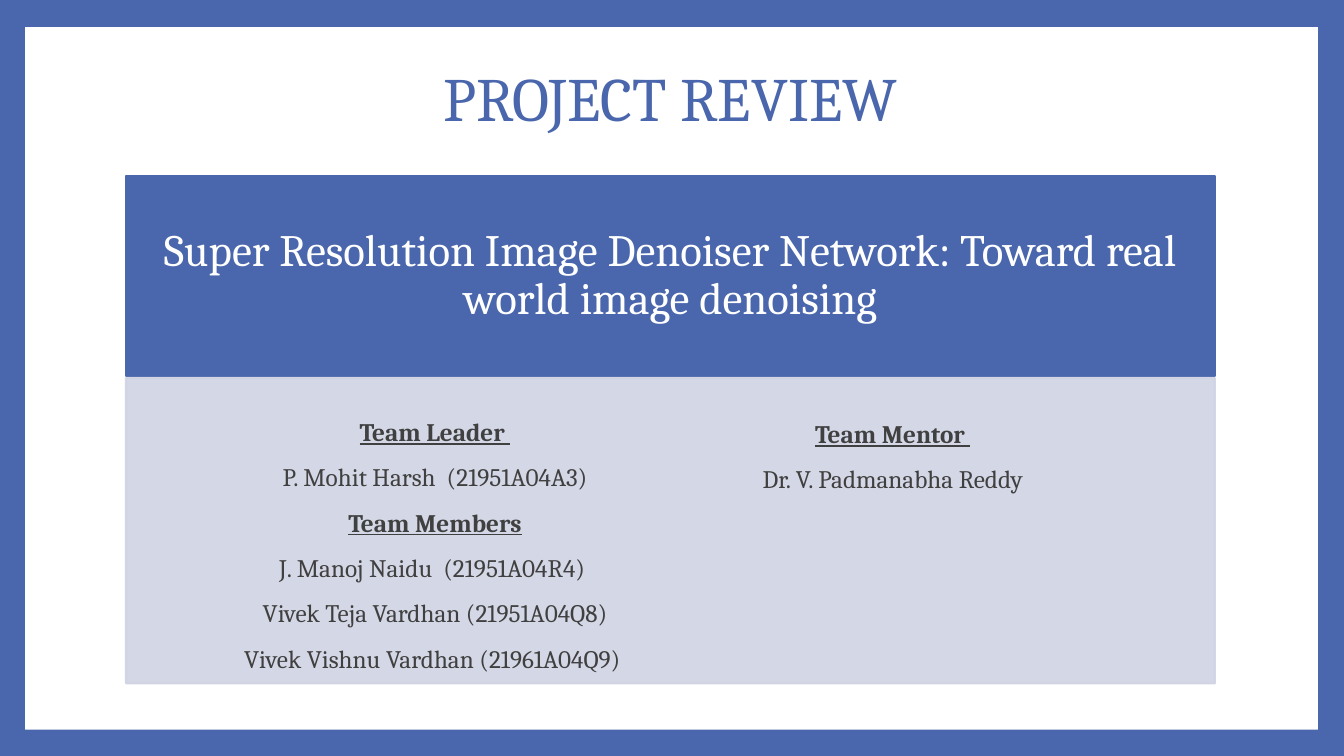
from dataclasses import dataclass

from lxml import etree
from pptx import Presentation, util as u
from pptx.dml.color import RGBColor
from pptx.enum import shapes, text
from pptx.oxml import ns

WIDE, HIGH = 13.33, 7.5
FONT = "Cambria"
HUES = {"blue": "4A66AC", "white": "FFFFFF", "pale": "D0D3E3", "ink": "404040"}


@dataclass(frozen=True)
class Box:
    left: float
    top: float
    width: float
    height: float

    def spot(self) -> tuple:
        return (u.Inches(self.left * WIDE), u.Inches(self.top * HIGH),
                u.Inches(self.width * WIDE), u.Inches(self.height * HIGH))


@dataclass(frozen=True)
class Panel:
    box: Box
    fill: str
    edge: float = 0
    alpha: int = 100


@dataclass(frozen=True)
class Line:
    words: str
    head: bool = False


@dataclass(frozen=True)
class Roster:
    box: Box
    lines: tuple


SIDE, SPAN = 1.25 / WIDE, 10.8 / WIDE
TITLE = Box(SIDE, 0.27 / HIGH, SPAN, 1.48 / HIGH)
PAGE = Panel(Box(0.25 / WIDE, 0.27 / HIGH, 12.82 / WIDE, 6.97 / HIGH), "white")
BANNER = Panel(Box(SIDE, 1.75 / HIGH, SPAN, 1.98 / HIGH), "blue", 1.5)
BODY = Panel(Box(SIDE, 0.5, SPAN, 3.03 / HIGH), "pale", 1.5, 90)
TEAMS = (
    Roster(Box(1.96 / WIDE, 3.93 / HIGH, 4.71 / WIDE, 3.13 / HIGH), (
        Line("Team Leader ", True),
        Line("P. Mohit Harsh  (21951A04A3)"),
        Line("Team Members", True),
        Line("J. Manoj Naidu  (21951A04R4) "),
        Line("Vivek Teja Vardhan (21951A04Q8)"),
        Line("Vivek Vishnu Vardhan (21961A04Q9) "),
    )),
    Roster(Box(6.5 / WIDE, 3.95 / HIGH, 4.71 / WIDE, 1.31 / HIGH), (
        Line("Team Mentor ", True),
        Line("Dr. V. Padmanabha Reddy"),
    )),
)


def tint(name: str) -> RGBColor:
    return RGBColor.from_string(HUES[name])


def write(para, words: str, *, size: int, hue: str, space: float = 0.9,
          head: bool = False) -> None:
    para.alignment = text.PP_ALIGN.CENTER
    para.line_spacing = space
    para.space_before = u.Pt(0)
    run = para.add_run()
    run.text = words
    font = run.font
    font.name, font.size = FONT, u.Pt(size)
    font.bold = font.underline = head
    font.color.rgb = tint(hue)


def draw(slide, panel: Panel):
    shape = slide.shapes.add_shape(shapes.MSO_SHAPE.RECTANGLE, *panel.box.spot())
    shape.shadow.inherit = False
    shape.fill.solid()
    shape.fill.fore_color.rgb = tint(panel.fill)
    if panel.edge:
        shape.line.color.rgb = tint(panel.fill)
        shape.line.width = u.Pt(panel.edge)
    else:
        shape.line.fill.background()
    if panel.alpha < 100:
        for hue in shape.element.spPr.iter(ns.qn("a:srgbClr")):
            etree.SubElement(hue, ns.qn("a:alpha"), val=str(panel.alpha * 1000))
    return shape


def title(slide, words: str) -> None:
    shape = slide.shapes.title
    shape.left, shape.top, shape.width, shape.height = TITLE.spot()
    frame = shape.text_frame
    frame.auto_size = text.MSO_AUTO_SIZE.NONE
    frame.vertical_anchor = text.MSO_ANCHOR.MIDDLE
    write(frame.paragraphs[0], words, size=44, hue="blue")


def topic(slide, words: str) -> None:
    frame = draw(slide, BANNER).text_frame
    frame.word_wrap = True
    frame.vertical_anchor = text.MSO_ANCHOR.MIDDLE
    frame.margin_left = frame.margin_right = u.Inches(0.25)
    frame.margin_top = frame.margin_bottom = u.Inches(0.14)
    write(frame.paragraphs[0], words, size=32, hue="white")


def team(slide, roster: Roster) -> None:
    frame = slide.shapes.add_textbox(*roster.box.spot()).text_frame
    frame.word_wrap = True
    frame.auto_size = text.MSO_AUTO_SIZE.SHAPE_TO_FIT_TEXT
    for rank, line in enumerate(roster.lines):
        para = frame.add_paragraph() if rank else frame.paragraphs[0]
        write(para, line.words, size=18, hue="ink", space=1.5, head=line.head)


def main() -> None:
    deck = Presentation()
    deck.slide_width, deck.slide_height = u.Inches(WIDE), u.Inches(HIGH)
    slide = deck.slides.add_slide(deck.slide_layouts[5])
    back = slide.background.fill
    back.solid()
    back.fore_color.rgb = tint("blue")
    page = draw(slide, PAGE)
    slide.shapes.title.element.addprevious(page.element)
    title(slide, "PROJECT REVIEW")
    topic(slide, "Super Resolution Image Denoiser Network: "
                 "Toward real world image denoising")
    draw(slide, BODY)
    for roster in TEAMS:
        team(slide, roster)
    deck.save("out.pptx")


if __name__ == "__main__":
    main()
